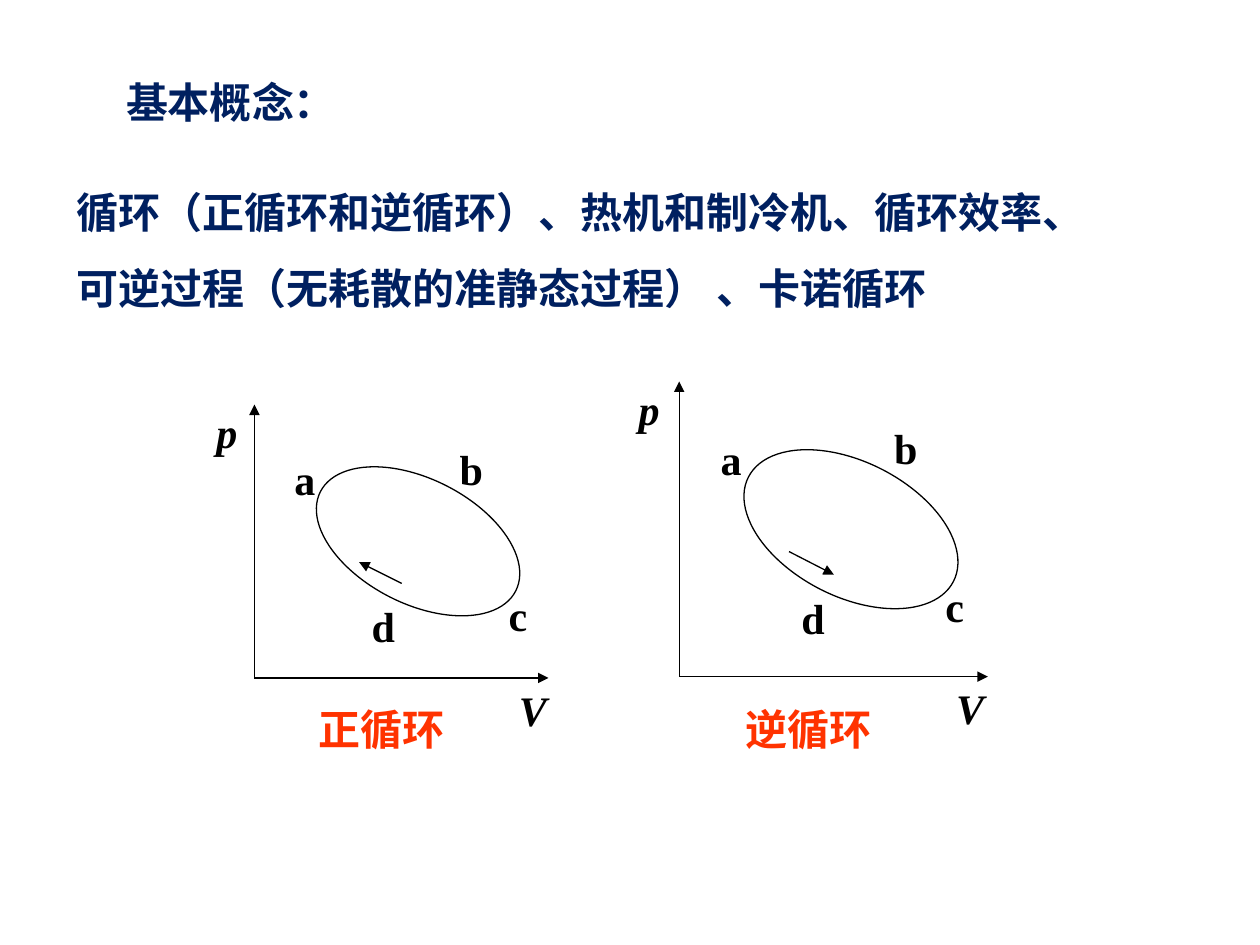
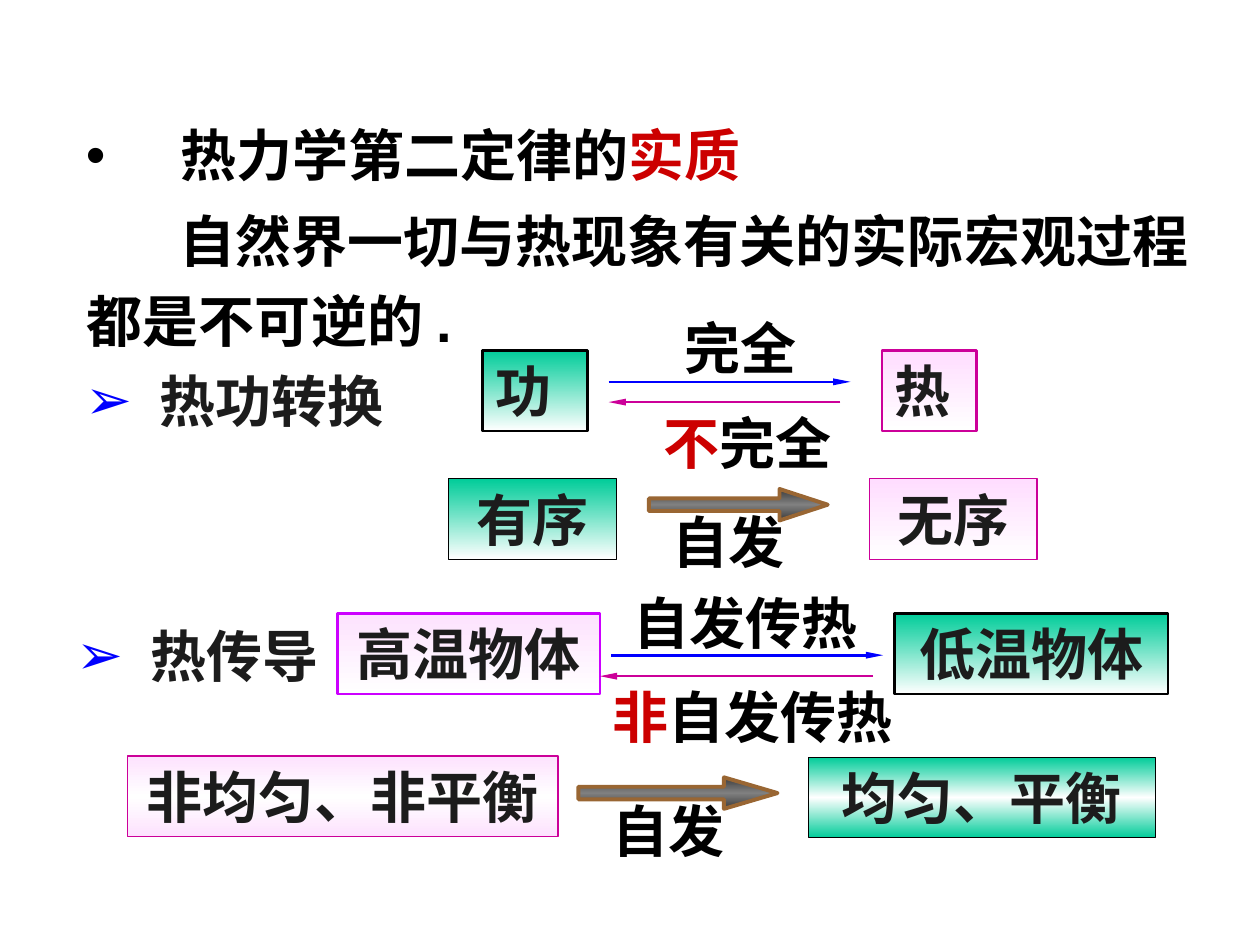
from lxml import etree
from pptx import Presentation
from pptx import util as u
from pptx.dml.color import RGBColor
from pptx.enum import shapes, text
from pptx.oxml.ns import qn

T = {
    "navy": "002060", "black": "000000", "ink": "1C1C1C", "red": "CC0000",
    "orange": "FF3300", "blue": "0000FF", "magenta": "CC0099", "violet": "CC00FF",
    "green": "00CC99", "pink": "FFDDFF", "pale": "FDE2FE", "white": "FFFFFF",
    "dark": "3B3B3B", "grey": "808080", "brown": "996633",
    "serif": "Times New Roman", "sans": "Arial", "small": 24, "large": 32,
}
FRAME = {
    "margin_left": u.Pt(7.2), "margin_right": u.Pt(7.2),
    "margin_top": u.Pt(3.6), "margin_bottom": u.Pt(3.6),
    "auto_size": text.MSO_AUTO_SIZE.NONE, "vertical_anchor": text.MSO_ANCHOR.TOP,
}


def write(sp, box, paras, font, size, wrap=True, align="LEFT", spacing=1.0,
          margin=0, indent=0, bullet=None, italic=False):
    for k, v in zip(("left", "top", "width", "height"), box):
        setattr(sp, k, u.Pt(v))
    tf = sp.text_frame
    for k, v in {**FRAME, "word_wrap": wrap}.items():
        setattr(tf, k, v)
    for i, runs in enumerate(paras):
        p = tf.add_paragraph() if i else tf.paragraphs[0]
        pf = {"alignment": getattr(text.PP_ALIGN, align), "line_spacing": spacing,
              "space_before": u.Pt(0)}
        for k, v in pf.items():
            setattr(p, k, v)
        pPr = p._p.get_or_add_pPr()
        pPr.set("marL", str(u.Pt(margin)))
        pPr.set("indent", str(u.Pt(indent)))
        if bullet:
            char, color = bullet
            clr = etree.SubElement(pPr, qn("a:buClr"))
            etree.SubElement(clr, qn("a:srgbClr"), val=T[color])
            etree.SubElement(pPr, qn("a:buFont"), typeface=T["sans"])
            etree.SubElement(pPr, qn("a:buChar"), char=char)
        else:
            etree.SubElement(pPr, qn("a:buNone"))
        for words, color in runs:
            r = p.add_run()
            r.text = words
            fmt = {"name": T[font], "size": u.Pt(T[size]), "bold": True, "italic": italic}
            for k, v in fmt.items():
                setattr(r.font, k, v)
            r.font.color.rgb = RGBColor.from_string(T[color])


def arrow(s, start, end, color, width, head_w="med", head_len="med"):
    ln = s.shapes.add_connector(shapes.MSO_CONNECTOR.STRAIGHT,
                                *(u.Pt(v) for v in (*start, *end)))
    ln.line.color.rgb = RGBColor.from_string(T[color])
    ln.line.width = u.Pt(width)
    etree.SubElement(ln.line._get_or_add_ln(), qn("a:tailEnd"),
                     type="triangle", w=head_w, len=head_len)
    etree.SubElement(ln._element.spPr, qn("a:effectLst"))


prs = Presentation()
prs.slide_width, prs.slide_height = u.Pt(720), u.Pt(540)

s = prs.slides.add_slide(prs.slide_layouts[1])
write(s.shapes.title, (64.8, 25.9, 181.4, 50.4), [[("基本概念：", "navy")]],
      "serif", "small", spacing=1.5)
concepts = ["循环（正循环和逆循环）、热机和制冷机、循环效率、",
            "可逆过程（无耗散的准静态过程） 、卡诺循环"]
write(s.placeholders[1], (36.7, 88.6, 668.9, 93.6), [[(c, "navy")] for c in concepts],
      "serif", "small", spacing=1.5)

labels = [
    ("p", -28.8, -158.4, 25.9), ("V", 144, 0, 30.2), ("a", 15.8, -131.8, 25.9),
    ("b", 110.2, -137.6, 27.4), ("c", 138.2, -54, 25.2), ("d", 59.8, -47.6, 27.4),
]
cycles = [
    ("正循环", 145.4, 387.4, 1, 1, False),
    ("逆循环", 388.1, 386.7, 1.05, 1.08, True),
]
for caption, x0, y0, kx, ky, reverse in cycles:
    for dx, dy in ((168, 0), (0, -156.2)):
        arrow(s, (x0, y0), (x0 + kx * dx, y0 + ky * dy), "black", 0.75)
    sp = s.shapes.add_shape(shapes.MSO_SHAPE.OVAL, u.Pt(x0 + kx * 30.9),
                            u.Pt(y0 - ky * 113.7), u.Pt(kx * 125.2), u.Pt(ky * 71.3))
    sp.rotation = 26.9
    sp.shadow.inherit = False
    sp.fill.background()
    sp.line.color.rgb = RGBColor.from_string(T["black"])
    sp.line.width = u.Pt(0.75)
    ends = [(x0 + kx * dx, y0 + ky * dy) for dx, dy in ((84.2, -54), (59.8, -66.2))]
    arrow(s, *(ends[::-1] if reverse else ends), "black", 0.75)
    for name, dx, dy, w in labels:
        write(s.shapes.add_textbox(0, 0, 0, 0), (x0 + kx * dx, y0 + ky * dy, w, 36),
              [[(name, "black")]], "serif", "small", wrap=False, italic=name in "pV")
    write(s.shapes.add_textbox(0, 0, 0, 0), (x0 + kx * 29.5, y0 + ky * 10.9, 86.4, 36),
          [[(caption, "orange")]], "serif", "small", wrap=False)

s = prs.slides.add_slide(prs.slide_layouts[1])
write(s.shapes.title, (41.8, 65.5, 426.2, 46), [[("热力学第二定律的", "black"), ("实质", "red")]],
      "serif", "large", margin=54, indent=-54, bullet=("•", "black"))
write(s.placeholders[1], (42.5, 106.6, 653.8, 99.4),
      [[("自然界一切与热现象有关的实际宏观过程都是不可逆的 .", "black")]],
      "sans", "large", spacing=1.2, indent=53)

for topic, x, y, w in [("热功转换", 41.8, 205.9, 372), ("热传导", 36.7, 351.4, 240)]:
    write(s.shapes.add_textbox(0, 0, 0, 0), (x, y, w, 46), [[(topic, "ink")]],
          "sans", "large", margin=42.2, indent=-42.2, bullet=("➢", "blue"))

one_way = [("green", "white"), ("pink", "white"), ("pale", "white")]
states = [
    ("功", 275.8, 200.2, 59.8, ("green", "white"), "black", 1.5, "LEFT"),
    ("热", 504, 200.2, 54, ("pink", "white"), "magenta", 1.5, "LEFT"),
    ("有序", 256.3, 273.6, 95.8, ("green", "white"), "black", 0.5, "CENTER"),
    ("无序", 496.8, 273.6, 95.8, ("pink", "white"), "magenta", 0.75, "CENTER"),
    ("高温物体", 193, 350.6, 149.8, ("pale", "white"), "violet", 1.5, "CENTER"),
    ("低温物体", 511.2, 350.6, 156.2, ("green", "white"), "black", 1.5, "CENTER"),
    ("非均匀、非平衡", 72.7, 432, 246.2, ("pale", "white", "pale"), "magenta", 0.75, "CENTER"),
    ("均匀、平衡", 462.2, 432.7, 198, ("green", "white", "green"), "black", 0.75, "CENTER"),
    (None, 370.8, 279.4, 102.2, ("dark", "grey", "dark"), "brown", 2.25, 1.53),
    (None, 330.5, 444.2, 113.8, ("dark", "grey", "dark"), "brown", 2.25, 1.7),
]
for name, x, y, w, colors, edge, width, extra in states:
    kind = shapes.MSO_SHAPE.RECTANGLE if name else shapes.MSO_SHAPE.RIGHT_ARROW
    sp = s.shapes.add_shape(kind, *(u.Pt(v) for v in (x, y, w, 46 if name else 18)))
    sp.shadow.inherit = False
    sp.fill.gradient()
    sp.fill.gradient_angle = 270
    stops = sp._element.spPr.find(qn("a:gradFill")).find(qn("a:gsLst"))
    for gs in list(stops):
        stops.remove(gs)
    for i, color in enumerate(colors):
        gs = etree.SubElement(stops, qn("a:gs"), pos=str(100000 * i // (len(colors) - 1)))
        etree.SubElement(gs, qn("a:srgbClr"), val=T[color])
    sp.line.color.rgb = RGBColor.from_string(T[edge])
    sp.line.width = u.Pt(width)
    if name:
        write(sp, (x, y, w, 46), [[(name, "ink")]], "sans", "large", align=extra)
    else:
        sp.adjustments[0], sp.adjustments[1] = 0.4, extra

for x1, x2, y, color in [(347.8, 486, 218.2, "blue"), (480.2, 347.8, 229.8, "magenta"),
                         (349.2, 504.7, 374.4, "blue"), (499, 342.7, 386.4, "magenta")]:
    arrow(s, (x1, y), (x2, y), color, 1.5, "sm", "lg")

notes = [
    ("", "完全", 383.8, 175.7, 108), ("不", "完全", 372.2, 229.7, 158.4),
    ("", "自发", 377.3, 286.6, 101.5), ("", "自发传热", 355, 332.6, 167.8),
    ("非", "自发传热", 342.7, 386.6, 186.5), ("", "自发", 342.7, 451.4, 144),
]
for negation, process, x, y, w in notes:
    runs = [(negation, "red")] if negation else []
    write(s.shapes.add_textbox(0, 0, 0, 0), (x, y, w, 46), [runs + [(process, "black")]],
          "sans", "large")

prs.save("out.pptx")
